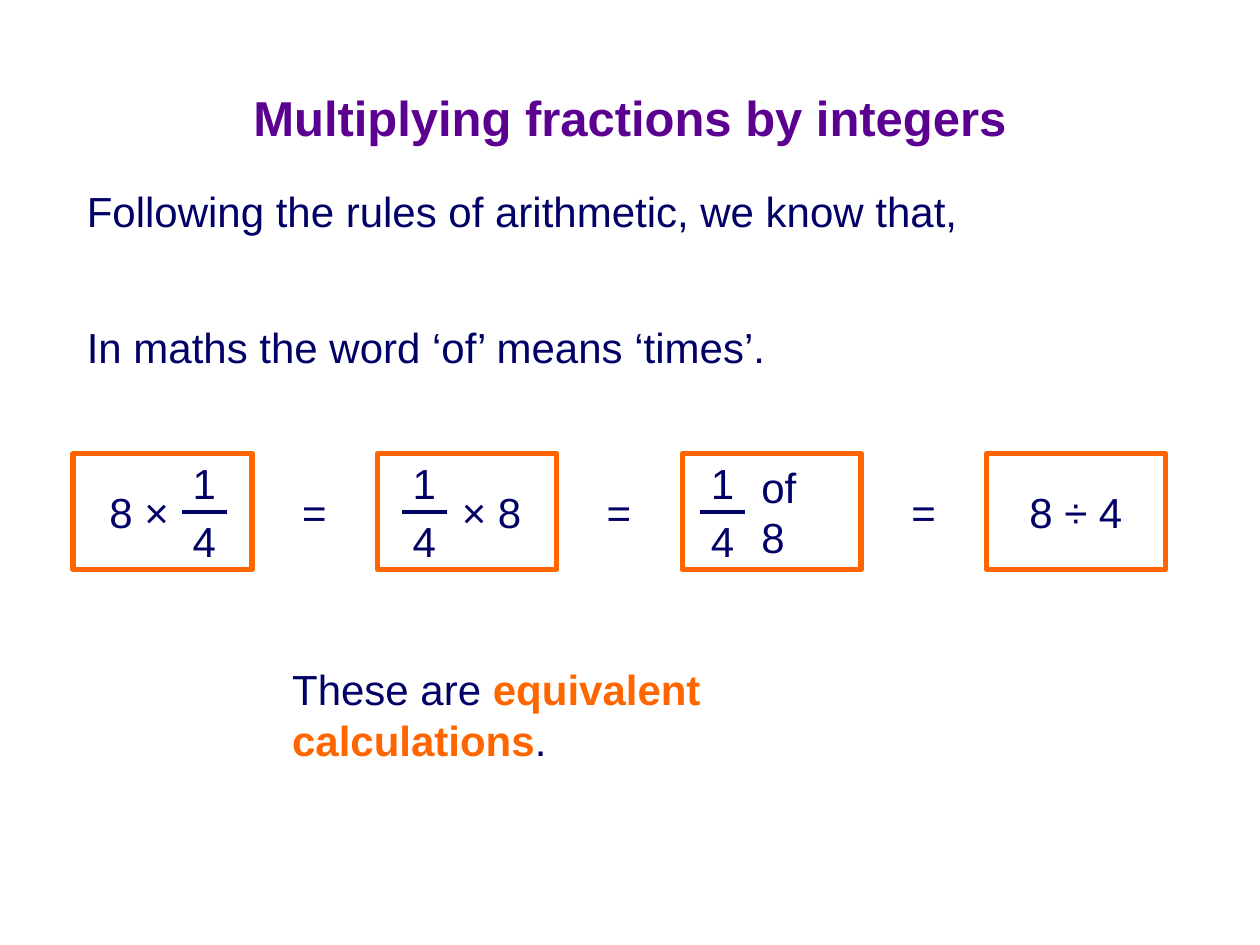
from lxml import etree
from pptx import Presentation
from pptx import util as u
from pptx.dml.color import RGBColor
from pptx.enum import shapes, text
from pptx.oxml.ns import qn

INK = {"navy": "010066", "orange": "FF6600", "purple": "5B0091"}

deck = Presentation()
deck.slide_width, deck.slide_height = u.Inches(10), u.Inches(7.5)
slide = deck.slides.add_slide(deck.slide_layouts[6])

# Grid of 100 columns by 75 rows
COL = deck.slide_width / 100
ROW = deck.slide_height / 75


def cell(x, y, w, h):
    return [round(n) for n in (x * COL, y * ROW, w * COL, h * ROW)]


def write(words, x, y, w, h=5, home=slide, size=24, ink="navy", bold=False,
          accent=None, align=text.PP_ALIGN.LEFT, wrap=False):
    """Add a text box; words is a string or a list, accent the run to stress."""
    box = home.shapes.add_textbox(*cell(x, y, w, h))
    frame = box.text_frame
    frame.word_wrap = wrap
    frame.vertical_anchor = text.MSO_ANCHOR.MIDDLE
    para = frame.paragraphs[0]
    para.alignment = align
    for part in [words] if isinstance(words, str) else words:
        run = para.add_run()
        run.text = part
        hit = part == accent
        run.font.name, run.font.size = "Arial", u.Pt(size)
        run.font.bold = bold or hit
        run.font.color.rgb = RGBColor.from_string(INK["orange" if hit else ink])


# Title and statements
write("Multiplying fractions by integers", 5, 3, 90, 12.5, size=28,
      ink="purple", bold=True, align=text.PP_ALIGN.CENTER, wrap=True)
write("Following the rules of arithmetic, we know that,", 5.9, 14.2, 71.1)
write("In maths the word ‘of’ means ‘times’.", 5.9, 25, 55.9)

# Calculations: term, its width, its offset, offset of the fraction
CALCS = [
    ("8 ×", 6.7, 1.9, 8.5),
    ("× 8", 6.7, 5.7, 1.8),
    ("of 8", 7.5, 5.3, 1.3),
    ("8 ÷ 4", 9.4, 2.4, None),
]
LEFT, TOP, WIDE, HIGH, STEP = 5.8, 36, 14.2, 9.2, 24.17
MID = TOP + HIGH / 2

for i, (term, wide, shift, frac) in enumerate(CALCS):
    x = LEFT + i * STEP
    group = slide.shapes.add_group_shape()
    write(term, x + shift, 38.1, wide, home=group)

    # One quarter, with its bar
    if frac is not None:
        fx = x + frac
        write("1", fx, 35.8, 3.8, home=group)
        write("4", fx, 40.4, 3.8, home=group)
        bar = group.shapes.add_connector(
            shapes.MSO_CONNECTOR.STRAIGHT,
            *cell(fx + 0.15, MID, fx + 3.7, MID))
        bar.line.color.rgb = RGBColor.from_string(INK["navy"])
        bar.line.width = u.Pt(2.25)
        etree.SubElement(bar._element.spPr, qn("a:effectLst"))

    # Frame
    rect = group.shapes.add_shape(shapes.MSO_SHAPE.RECTANGLE,
                                  *cell(x, TOP, WIDE, HIGH))
    rect.shadow.inherit = False
    rect.fill.background()
    rect.line.color.rgb = RGBColor.from_string(INK["orange"])
    rect.line.width = u.Pt(3)

    # Equals sign between frames
    if i < len(CALCS) - 1:
        write("=", x + 17.2, 38.1, 3.9)

# Conclusion
write(["These are ", "equivalent calculations", "."], 22.2, 54.2, 55.5,
      accent="equivalent calculations")

deck.save("out.pptx")
